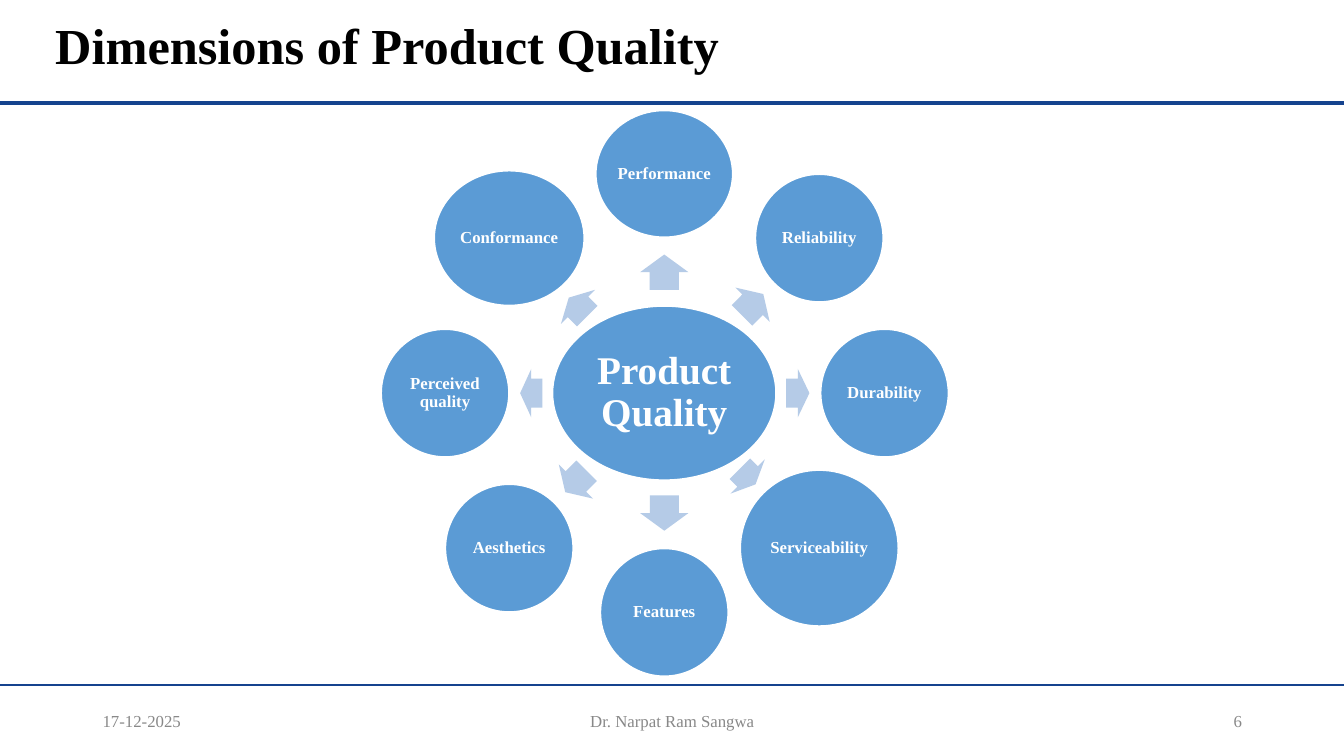
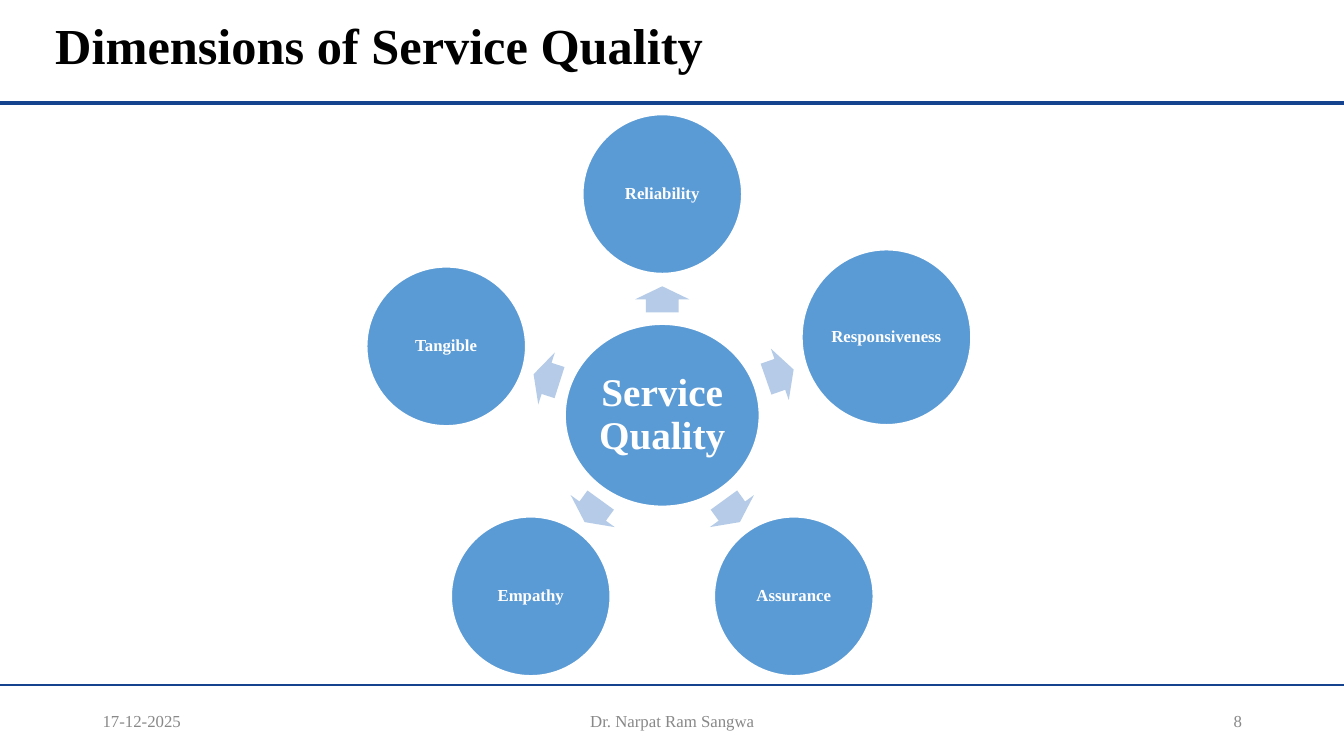
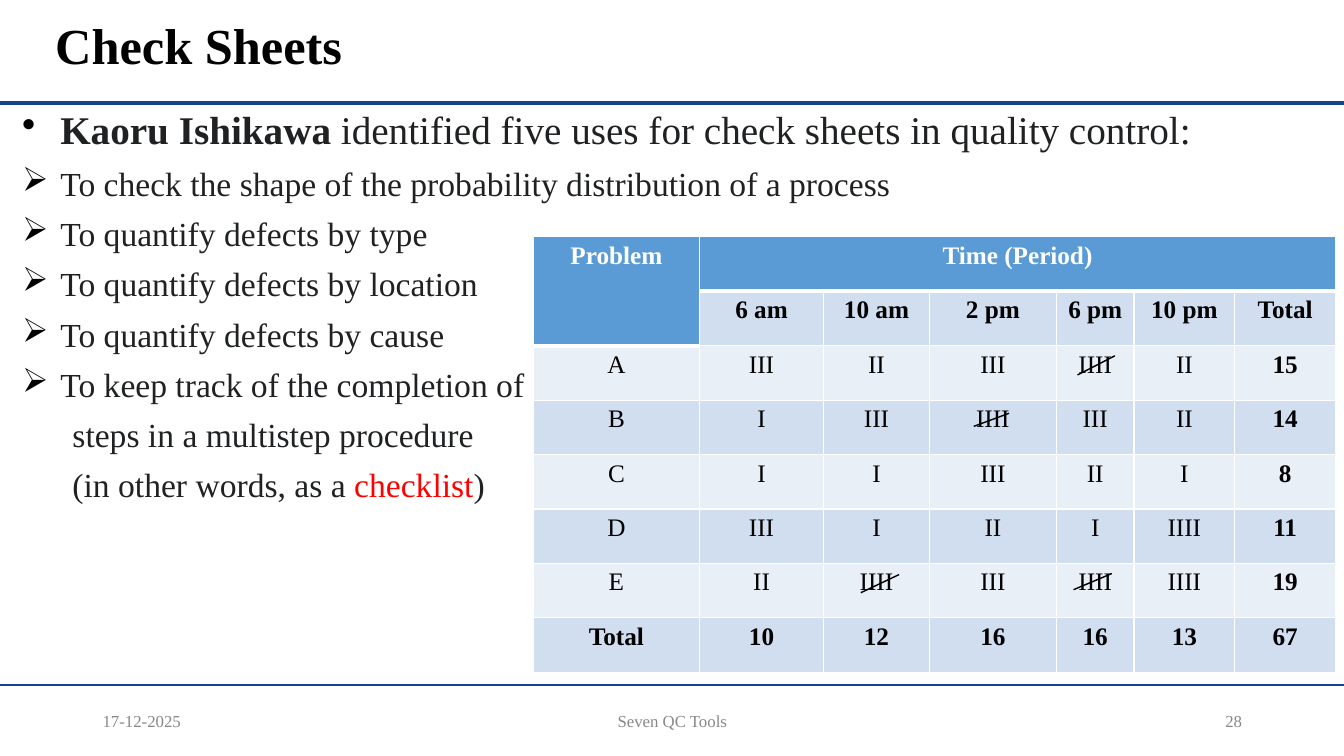
from dataclasses import dataclass
from itertools import product
from math import cos, radians, sin
from typing import Any, NamedTuple

from lxml.etree import SubElement
from pptx import Presentation
from pptx.dml.color import RGBColor
from pptx.enum.shapes import MSO_CONNECTOR, MSO_SHAPE
from pptx.enum.text import MSO_ANCHOR, PP_ALIGN
from pptx.oxml.ns import qn
from pptx.util import Emu, Inches, Pt

# The grid has ten columns and ten rows to the inch.
GRID = Inches(0.1)
SLIDE_COLS, SLIDE_ROWS = 133.33, 75

FONT = "Times New Roman"
WHITE, BLACK, BLUE, PALE_BLUE = "FFFFFF", "000000", "5B9BD5", "B5CBE7"
RULE_BLUE, FOOTER_GREY, BODY_INK, RED = "15438E", "888888", "202122", "FF0000"
BANDS = ("E9EFF7", "D0DEEF")

TITLE = {"size": Pt(36), "bold": True}
FOOTER = {"size": Pt(12), "bold": False}
HUB = {"size": Pt(28), "bold": True}
SPOKE = {"size": Pt(12), "bold": True}

DATE = "17-12-2025"
AUTHOR = "Dr. Narpat Ram Sangwa"


class Area(NamedTuple):
    left: float
    top: float
    width: float
    height: float


class Stroke(NamedTuple):
    x1: float
    y1: float
    x2: float
    y2: float


class Piece(NamedTuple):
    text: str
    colour: str = BODY_INK
    bold: bool = False


@dataclass(frozen=True)
class Spoke:
    """One outer circle and its arrow; angles run clockwise from the right."""
    label: str
    angle: float
    arrow_reach: float
    arrow_length: float
    width: float
    height: float
    reach: float


@dataclass(frozen=True)
class Wheel:
    hub: str
    x: float
    y: float
    width: float
    height: float
    arrow_breadth: float
    spokes: tuple[Spoke, ...]


@dataclass(frozen=True)
class BodyLine:
    pieces: tuple[Piece, ...]
    bullet: str = "➢"
    size: int = 24


PRODUCT_WHEEL = Wheel("Product Quality", 65.9, 39, 22.3, 17.4, 4.8, (
    Spoke("Performance", 270, 12, 3.5, 13.7, 12.7, 21.75),
    Spoke("Reliability", 315, 12.4, 3, 12.8, 12.8, 21.75),
    Spoke("Durability", 0, 13.25, 2.3, 12.8, 12.8, 21.85),
    Spoke("Serviceability", 45, 11.7, 2.2, 15.8, 15.6, 21.75),
    Spoke("Features", 90, 11.9, 3.5, 12.8, 12.8, 21.75),
    Spoke("Aesthetics", 135, 12.4, 3, 12.8, 12.8, 21.75),
    Spoke("Perceived quality", 180, 13.2, 2.2, 12.8, 12.8, 21.75),
    Spoke("Conformance", 225, 12.1, 2.6, 15, 13.5, 21.75),
))
SERVICE_WHEEL = Wheel("Service Quality", 65.7, 41.2, 19.4, 18.2, 5.4, (
    Spoke("Reliability", 270, 11.5, 2.6, 15.9, 15.9, 21.95),
    Spoke("Responsiveness", 340.8, 12.35, 2.9, 16.9, 17.5, 23.55),
    Spoke("Assurance", 54, 11.75, 2.7, 15.9, 15.9, 22.2),
    Spoke("Empathy", 126, 11.75, 2.7, 15.9, 15.9, 22.2),
    Spoke("Tangible", 197.7, 12.05, 2.7, 15.9, 15.9, 22.5),
))

CHECK_SHEET_USES = (
    BodyLine((Piece("Kaoru Ishikawa ", bold=True),
              Piece("identified five uses for check sheets in quality control:")), "•", 28),
    BodyLine((Piece("To check the shape of the probability distribution of a process"),)),
    BodyLine((Piece("To quantify defects by type"),)),
    BodyLine((Piece("To quantify defects by location"),)),
    BodyLine((Piece("To quantify defects by cause"),)),
    BodyLine((Piece("To keep track of the completion of"),)),
    BodyLine((Piece("steps in a multistep procedure"),), ""),
    BodyLine((Piece("(in other words, as a "), Piece("checklist", RED), Piece(")")), ""),
)

DEFECTS = (
    ("Problem", "Time (Period)", "", "", "", "", ""),
    ("", "6 am", "10 am", "2 pm", "6 pm", "10 pm", "Total"),
    ("A", "III", "II", "III", "IIII", "II", "15"),
    ("B", "I", "III", "IIII", "III", "II", "14"),
    ("C", "I", "I", "III", "II", "I", "8"),
    ("D", "III", "I", "II", "I", "IIII", "11"),
    ("E", "II", "IIII", "III", "IIII", "IIII", "19"),
    ("Total", "10", "12", "16", "16", "13", "67"),
)
DEFECT_COLS = (16.5, 12.3, 10.5, 12.6, 7.7, 10, 10)
DEFECT_ROW = 5.4
FIFTH_MARKS = (
    Stroke(106.9, 37.2, 110.6, 35.3),
    Stroke(96.6, 42.3, 100.1, 41),
    Stroke(85.4, 58.8, 89.2, 57),
    Stroke(106.5, 58.5, 110.3, 56.9),
)


def units(count: float) -> Emu:
    """Turn grid columns or rows into a length."""
    return Emu(round(count * GRID))


def colour(value: str) -> RGBColor:
    return RGBColor.from_string(value)


def place(area: Area) -> tuple[Emu, ...]:
    return tuple(units(length) for length in area)


def centred(x: float, y: float, width: float, height: float) -> Area:
    return Area(x - width / 2, y - height / 2, width, height)


def on_ray(wheel: Wheel, angle: float, reach: float) -> tuple[float, float]:
    turn = radians(angle)
    return wheel.x + reach * cos(turn), wheel.y + reach * sin(turn)


def assign(target: Any, values: dict[str, Any]) -> None:
    for name, value in values.items():
        setattr(target, name, value)


def write(paragraph: Any, text: str, style: dict[str, Any], ink: str) -> None:
    run = paragraph.add_run()
    run.text = text
    assign(run.font, {"name": FONT, **style})
    run.font.color.rgb = colour(ink)


def add_text(slide: Any, area: Area, text: str, style: dict[str, Any], ink: str,
             frame_format: dict[str, Any], paragraph_format: dict[str, Any]) -> None:
    frame = slide.shapes.add_textbox(*place(area)).text_frame
    assign(frame, {"word_wrap": True, **frame_format})
    assign(frame.paragraphs[0], paragraph_format)
    write(frame.paragraphs[0], text, style, ink)


def add_stroke(slide: Any, stroke: Stroke, ink: str, weight: float) -> None:
    line = slide.shapes.add_connector(MSO_CONNECTOR.STRAIGHT, *place(stroke))
    line.line.color.rgb = colour(ink)
    line.line.width = Pt(weight)
    SubElement(line._element.spPr, qn("a:effectLst"))


def add_page(deck: Any, title: str, centre: str, number: int) -> Any:
    """Add a slide with the shared title, rules and footer."""
    slide = deck.slides.add_slide(deck.slide_layouts[6])
    for row, weight in ((10.2, 3), (68, 1.5)):
        add_stroke(slide, Stroke(0, row, SLIDE_COLS, row), RULE_BLUE, weight)
    add_text(slide, Area(4.5, 1.6, 117.7, 7.5), title, TITLE, BLACK,
             {"vertical_anchor": MSO_ANCHOR.TOP}, {"line_spacing": 0.9})
    for left, width, text, align in (
        (9.2, 30, DATE, PP_ALIGN.LEFT),
        (44.2, 45, centre, PP_ALIGN.CENTER),
        (94.2, 30, str(number), PP_ALIGN.RIGHT),
    ):
        add_text(slide, Area(left, 69.5, width, 4), text, FOOTER, FOOTER_GREY,
                 {"vertical_anchor": MSO_ANCHOR.MIDDLE}, {"alignment": align})
    return slide


def add_filled(slide: Any, kind: MSO_SHAPE, area: Area, fill: str) -> Any:
    shape = slide.shapes.add_shape(kind, *place(area))
    shape.shadow.inherit = False
    shape.fill.solid()
    shape.fill.fore_color.rgb = colour(fill)
    return shape


def add_circle(slide: Any, area: Area, label: str, style: dict[str, Any]) -> None:
    circle = add_filled(slide, MSO_SHAPE.OVAL, area, BLUE)
    circle.line.color.rgb = colour(WHITE)
    circle.line.width = Pt(2)
    frame = circle.text_frame
    assign(frame, {"word_wrap": True, "vertical_anchor": MSO_ANCHOR.MIDDLE,
                   "margin_left": 0, "margin_right": 0,
                   "margin_top": 0, "margin_bottom": 0})
    assign(frame.paragraphs[0], {"alignment": PP_ALIGN.CENTER, "line_spacing": 0.9})
    write(frame.paragraphs[0], label, style, WHITE)


def add_wheel(slide: Any, wheel: Wheel) -> None:
    add_circle(slide, centred(wheel.x, wheel.y, wheel.width, wheel.height), wheel.hub, HUB)
    for spoke in wheel.spokes:
        middle = on_ray(wheel, spoke.angle, spoke.arrow_reach)
        arrow = add_filled(slide, MSO_SHAPE.RIGHT_ARROW,
                           centred(*middle, spoke.arrow_length, wheel.arrow_breadth), PALE_BLUE)
        arrow.line.fill.background()
        arrow.rotation = spoke.angle
        arrow.adjustments[0] = 0.6
        arrow.adjustments[1] = 0.5
        add_circle(slide, centred(*on_ray(wheel, spoke.angle, spoke.reach),
                                  spoke.width, spoke.height), spoke.label, SPOKE)


def indent(paragraph: Any, bullet: str) -> None:
    """Hang the paragraph on its bullet, or align it as a continuation."""
    props = paragraph._p.get_or_add_pPr()
    left, first = (5, -3.8) if bullet else (6.2, 0)
    props.set("marL", str(units(left)))
    props.set("indent", str(units(first)))
    if bullet:
        SubElement(SubElement(props, qn("a:buClr")), qn("a:srgbClr"), val=BLACK)
        SubElement(props, qn("a:buChar"), char=bullet)
    else:
        SubElement(props, qn("a:buNone"))


def add_body(slide: Any, area: Area, lines: tuple[BodyLine, ...]) -> None:
    frame = slide.shapes.add_textbox(*place(area)).text_frame
    frame.word_wrap = True
    for index, line in enumerate(lines):
        paragraph = frame.add_paragraph() if index else frame.paragraphs[0]
        indent(paragraph, line.bullet)
        assign(paragraph, {"line_spacing": 0.9, "space_before": Pt(10 if index else 0)})
        for piece in line.pieces:
            write(paragraph, piece.text, {"size": Pt(line.size), "bold": piece.bold}, piece.colour)


def is_header(row: int, col: int) -> bool:
    return row == 0 or (row, col) == (1, 0)


def add_borders(cell: Any, weights: dict[str, float]) -> None:
    props = cell._tc.get_or_add_tcPr()
    for side, weight in weights.items():
        edge = SubElement(props, qn(f"a:ln{side}"), w=str(Pt(weight)))
        SubElement(SubElement(edge, qn("a:solidFill")), qn("a:srgbClr"), val=WHITE)


def add_defect_table(slide: Any, left: float, top: float) -> None:
    rows, cols = len(DEFECTS), len(DEFECT_COLS)
    area = Area(left, top, sum(DEFECT_COLS), rows * DEFECT_ROW)
    table = slide.shapes.add_table(rows, cols, *place(area)).table
    for column, width in zip(table.columns, DEFECT_COLS):
        column.width = units(width)
    for row, col in product(range(rows), range(cols)):
        cell = table.cell(row, col)
        header = is_header(row, col)
        under_header = row > 0 and not header and is_header(row - 1, col)
        add_borders(cell, {"L": 1, "R": 1, "T": 3 if under_header else 1,
                           "B": 3 if header else 1})
        cell.fill.solid()
        cell.fill.fore_color.rgb = colour(BLUE if header else BANDS[row % 2])
        text = DEFECTS[row][col]
        if text:
            paragraph = cell.text_frame.paragraphs[0]
            paragraph.alignment = PP_ALIGN.CENTER
            bold = row in (0, 1, rows - 1) or col == cols - 1
            write(paragraph, text, {"size": Pt(18), "bold": bold}, WHITE if header else BLACK)
    table.cell(0, 0).merge(table.cell(1, 0))
    table.cell(0, 1).merge(table.cell(0, cols - 1))


def main() -> None:
    deck = Presentation()
    deck.slide_width, deck.slide_height = units(SLIDE_COLS), units(SLIDE_ROWS)

    add_wheel(add_page(deck, "Dimensions of Product Quality", AUTHOR, 6), PRODUCT_WHEEL)
    add_wheel(add_page(deck, "Dimensions of Service Quality", AUTHOR, 8), SERVICE_WHEEL)

    check_sheets = add_page(deck, "Check Sheets", "Seven QC Tools", 28)
    add_body(check_sheets, Area(0, 10.5, 121.9, 47.6), CHECK_SHEET_USES)
    add_defect_table(check_sheets, 52.9, 23.5)
    for mark in FIFTH_MARKS:
        add_stroke(check_sheets, mark, BLACK, 1)

    deck.save("out.pptx")


if __name__ == "__main__":
    main()
